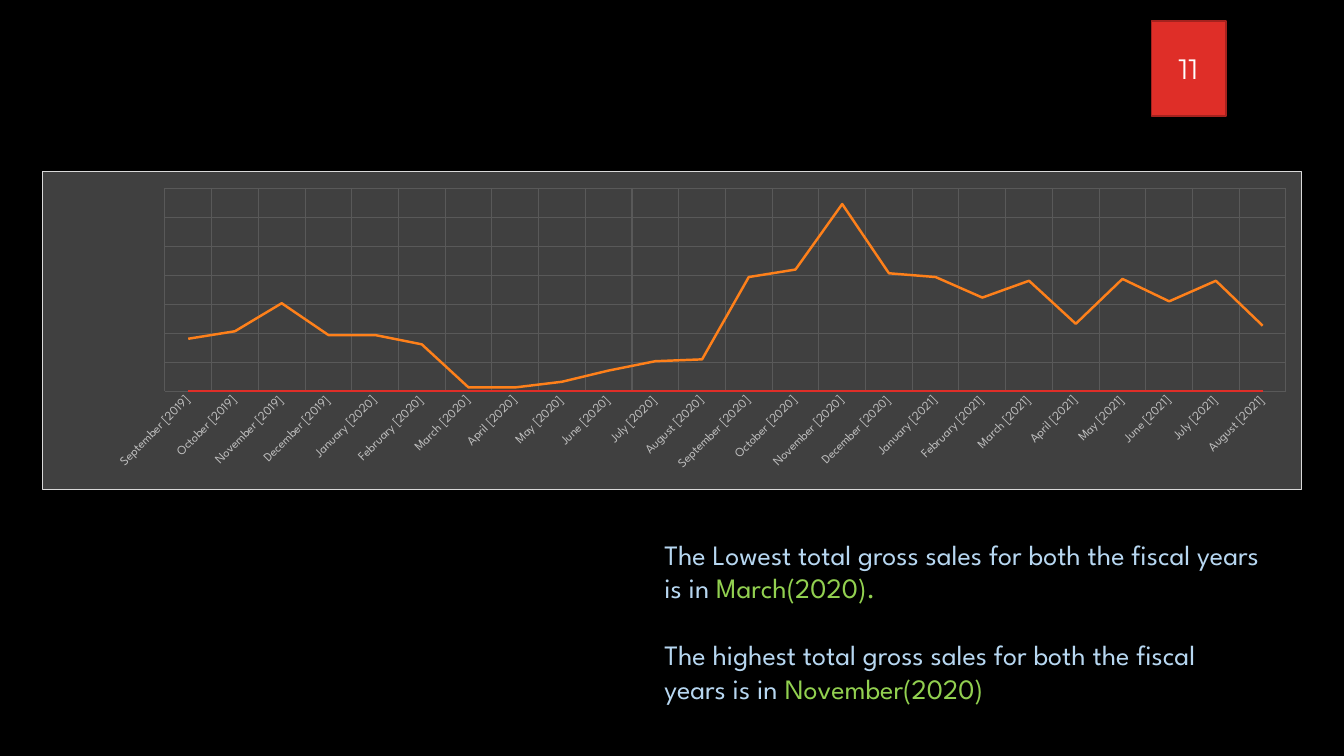
import dataclasses

import pptx
import pptx.chart.data
import pptx.dml.color
import pptx.enum.chart
import pptx.enum.shapes
import pptx.enum.text
import pptx.oxml
import pptx.util

Inches = pptx.util.Inches
Pt = pptx.util.Pt


@dataclasses.dataclass(frozen=True)
class Theme:
    background: str = "000000"
    panel: str = "404040"
    panel_border: str = "D9D9D9"
    grid: str = "595959"
    label: str = "BFBFBF"
    red: str = "DF2E28"
    dark_red: str = "A5221E"
    orange: str = "FE801A"
    text: str = "B7D7F1"
    highlight: str = "92D050"
    white: str = "FFFFFF"
    font: str = "League Spartan"
    number_font: str = "Montserrat"
    text_size: float = 20
    label_size: float = 9
    grid_width: float = 0.75
    series_width: float = 1.75


THEME = Theme()

MONTHS = ["January", "February", "March", "April", "May", "June", "July",
          "August", "September", "October", "November", "December"]
FIRST_MONTH = 8
GROSS_SALES = [28, 32, 47, 30, 30, 25, 2, 2, 5, 11, 16, 17,
               61, 65, 100, 63, 61, 50, 59, 36, 60, 48, 59, 35]
AXIS_MAXIMUM = 108.6
GRID_ROWS = 7

FINDINGS = [
    ("The Lowest total gross sales for both the fiscal years is in ", "March(2020)."),
    ("The highest total gross sales for both the fiscal years is in ", "November(2020)"),
]


def rgb(value):
    return pptx.dml.color.RGBColor.from_string(value)


def apply_format(target, values):
    for name, value in values.items():
        setattr(target, name, value)


def format_font(font, name, size, color):
    apply_format(font, {"name": name, "size": Pt(size)})
    font.color.rgb = rgb(color)


def format_line(line, color, width):
    line.color.rgb = rgb(color)
    line.width = Pt(width)


def month_labels():
    """Name the months from September 2019 on, one for each sales value."""
    positions = range(FIRST_MONTH, FIRST_MONTH + len(GROSS_SALES))
    return [f"{MONTHS[i % 12]} [{2019 + i // 12}]" for i in positions]


def fill_chart_area(chart):
    namespaces = pptx.oxml.ns.nsdecls("c", "a")
    properties = pptx.oxml.parse_xml(
        f'<c:spPr {namespaces}>'
        f'<a:solidFill><a:srgbClr val="{THEME.panel}"/></a:solidFill>'
        f'<a:ln w="{Pt(0.75)}"><a:solidFill><a:srgbClr val="{THEME.panel_border}"/>'
        f'</a:solidFill></a:ln></c:spPr>')
    chart.element.find(pptx.oxml.ns.qn("c:chart")).addnext(properties)


def place_plot(chart, x, y, w, h):
    """Fix the inner plot area, in fractions of the chart."""
    plot_area = chart.element.find(".//" + pptx.oxml.ns.qn("c:plotArea"))
    for layout in plot_area.findall(pptx.oxml.ns.qn("c:layout")):
        plot_area.remove(layout)
    sizes = "".join(f'<c:{name} val="{value}"/>'
                    for name, value in {"x": x, "y": y, "w": w, "h": h}.items())
    plot_area.insert(0, pptx.oxml.parse_xml(
        f'<c:layout {pptx.oxml.ns.nsdecls("c")}><c:manualLayout>'
        '<c:layoutTarget val="inner"/><c:xMode val="edge"/><c:yMode val="edge"/>'
        f'{sizes}</c:manualLayout></c:layout>'))


def format_axes(chart):
    tick_none = pptx.enum.chart.XL_TICK_MARK.NONE
    common = {"has_major_gridlines": True, "major_tick_mark": tick_none,
              "minor_tick_mark": tick_none}
    for axis in (chart.category_axis, chart.value_axis):
        apply_format(axis, common)
        format_line(axis.major_gridlines.format.line, THEME.grid, THEME.grid_width)
    apply_format(chart.value_axis, {
        "visible": False, "minimum_scale": 0, "maximum_scale": AXIS_MAXIMUM,
        "major_unit": round(AXIS_MAXIMUM / GRID_ROWS, 2)})
    months = chart.category_axis
    months.format.line.fill.background()
    format_font(months.tick_labels.font, THEME.font, THEME.label_size, THEME.label)
    body = months._element.find(
        f'{pptx.oxml.ns.qn("c:txPr")}/{pptx.oxml.ns.qn("a:bodyPr")}')
    body.set("rot", str(-45 * 60000))
    body.set("vert", "horz")


def add_sales_chart(slide):
    data = pptx.chart.data.CategoryChartData()
    data.categories = month_labels()
    data.add_series("Series 1", [0] * len(GROSS_SALES))
    data.add_series("Series 2", GROSS_SALES)
    chart = slide.shapes.add_chart(
        pptx.enum.chart.XL_CHART_TYPE.LINE, Inches(0.42), Inches(1.7),
        Inches(12.49), Inches(3.16), data).chart
    apply_format(chart, {"has_title": False, "has_legend": False})
    format_font(chart.font, THEME.font, 10, THEME.white)
    chart.plots[0].vary_by_categories = False
    for series, color in zip(chart.plots[0].series, (THEME.red, THEME.orange)):
        series.smooth = False
        format_line(series.format.line, color, THEME.series_width)
    format_axes(chart)
    fill_chart_area(chart)
    place_plot(chart, 0.097, 0.051, 0.891, 0.64)


def add_findings(slide):
    box = slide.shapes.add_textbox(Inches(6.49), Inches(5.28), Inches(6.13), Inches(1.84))
    frame = box.text_frame
    frame.word_wrap = True
    for index, finding in enumerate(FINDINGS):
        paragraph = frame.add_paragraph() if index else frame.paragraphs[0]
        paragraph.space_before = Pt(24 if index else 0)
        for text, color in zip(finding, (THEME.text, THEME.highlight)):
            run = paragraph.add_run()
            run.text = text
            format_font(run.font, THEME.font, THEME.text_size, color)


def add_page_number(slide, number):
    shape = slide.shapes.add_shape(
        pptx.enum.shapes.MSO_SHAPE.RECTANGLE, Inches(11.42), Inches(0.21),
        Inches(0.74), Inches(0.94))
    shape.shadow.inherit = False
    shape.fill.solid()
    shape.fill.fore_color.rgb = rgb(THEME.red)
    format_line(shape.line, THEME.dark_red, 1)
    shape.text_frame.vertical_anchor = pptx.enum.text.MSO_ANCHOR.MIDDLE
    paragraph = shape.text_frame.paragraphs[0]
    paragraph.alignment = pptx.enum.text.PP_ALIGN.CENTER
    run = paragraph.add_run()
    run.text = str(number)
    format_font(run.font, THEME.number_font, THEME.text_size, THEME.white)


def main():
    presentation = pptx.Presentation()
    apply_format(presentation, {"slide_width": Inches(13.33), "slide_height": Inches(7.5)})
    slide = presentation.slides.add_slide(presentation.slide_layouts[6])
    slide.background.fill.solid()
    slide.background.fill.fore_color.rgb = rgb(THEME.background)
    add_sales_chart(slide)
    add_findings(slide)
    add_page_number(slide, 11)
    presentation.save("out.pptx")


if __name__ == "__main__":
    main()
